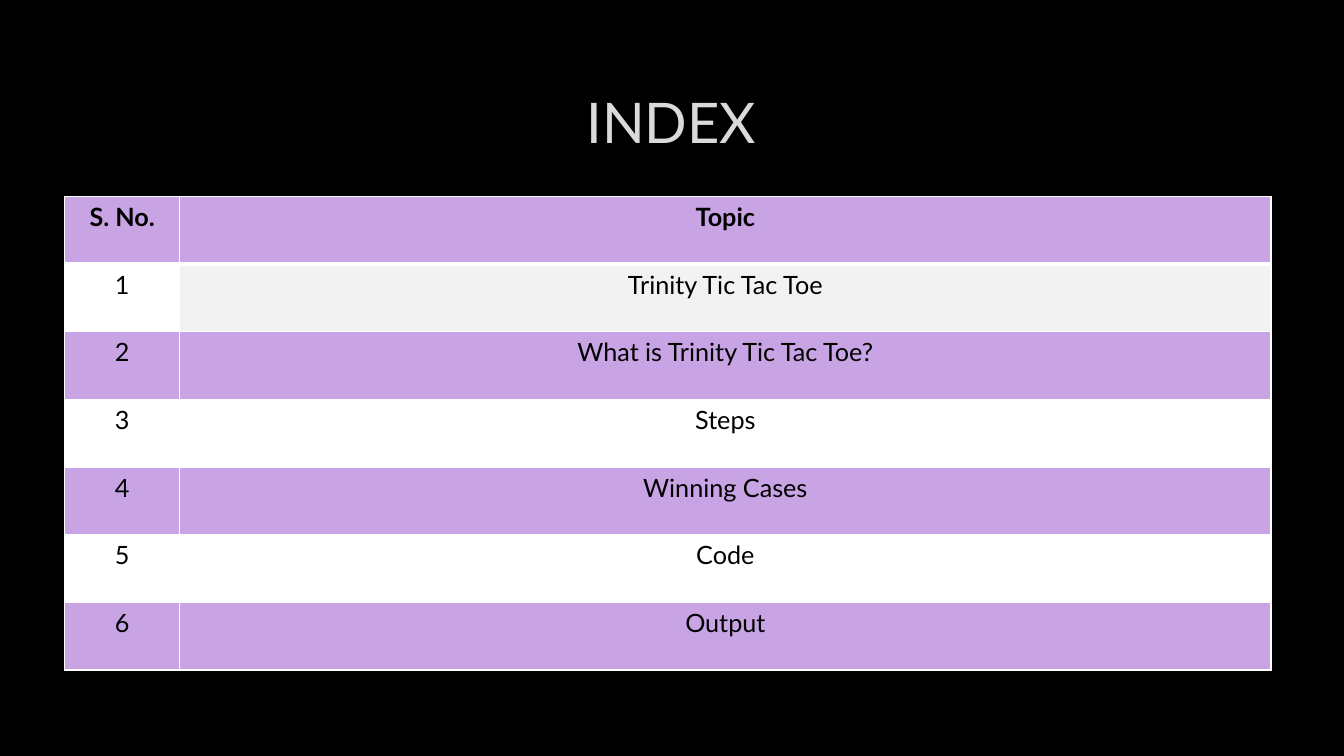
from dataclasses import dataclass

from lxml.etree import SubElement
from pptx import Presentation
from pptx.dml.color import RGBColor
from pptx.enum.text import MSO_ANCHOR, PP_ALIGN
from pptx.oxml.ns import qn
from pptx.slide import Slide
from pptx.table import _Cell
from pptx.text.text import _Paragraph
from pptx.util import Cm, Length, Pt


@dataclass(frozen=True)
class Theme:
    font: str = "Lato"
    background: str = "000000"
    title: str = "DADADA"
    title_outline: str = "404040"
    text: str = "000000"
    accent: str = "C9A4E4"
    plain: str = "FFFFFF"
    highlight: str = "F2F2F2"
    border: str = "FFFFFF"
    title_size: Length = Pt(40)
    text_size: Length = Pt(18)
    border_width: Length = Pt(1)
    header_rule_width: Length = Pt(3)
    outline_width: Length = Pt(0.75)


@dataclass(frozen=True)
class IndexRow:
    number: str
    topic: str
    fill: str
    topic_fill: str
    header: bool = False


THEME = Theme()
TOPICS = (
    "Trinity Tic Tac Toe",
    "What is Trinity Tic Tac Toe?",
    "Steps",
    "Winning Cases",
    "Code",
    "Output",
)


def index_rows() -> list[IndexRow]:
    rows = [IndexRow("S. No.", "Topic", THEME.accent, THEME.accent, True)]
    for number, topic in enumerate(TOPICS, start=1):
        fill = THEME.plain if number % 2 else THEME.accent
        topic_fill = THEME.highlight if number == 1 else fill
        rows.append(IndexRow(str(number), topic, fill, topic_fill))
    return rows


def format_paragraph(para: _Paragraph, size: Length, color: str, bold: bool = False) -> None:
    para.alignment = PP_ALIGN.CENTER
    para.font.name = THEME.font
    para.font.size = size
    para.font.bold = bold
    para.font.color.rgb = RGBColor.from_string(color)


def set_borders(cell: _Cell, top: Length, bottom: Length) -> None:
    properties = cell._tc.get_or_add_tcPr()
    widths = {"lnL": THEME.border_width, "lnR": THEME.border_width, "lnT": top, "lnB": bottom}
    for position, (side, width) in enumerate(widths.items()):
        line = SubElement(properties, qn(f"a:{side}"), w=str(width))
        fill = SubElement(line, qn("a:solidFill"))
        SubElement(fill, qn("a:srgbClr"), val=THEME.border)
        properties.insert(position, line)


def fill_cell(cell: _Cell, text: str, fill: str, header: bool, below_header: bool) -> None:
    cell.text = text
    format_paragraph(cell.text_frame.paragraphs[0], THEME.text_size, THEME.text, header)
    cell.fill.solid()
    cell.fill.fore_color.rgb = RGBColor.from_string(fill)
    top = THEME.header_rule_width if below_header else THEME.border_width
    bottom = THEME.header_rule_width if header else THEME.border_width
    set_borders(cell, top, bottom)


def add_title(page: Slide, text: str) -> None:
    title = page.shapes.title
    title.left, title.top, title.width, title.height = Cm(2.54), Cm(1.7), Cm(28.75), Cm(2.7)
    title.text_frame.text = text
    title.text_frame.vertical_anchor = MSO_ANCHOR.MIDDLE
    para = title.text_frame.paragraphs[0]
    format_paragraph(para, THEME.title_size, THEME.title)
    span = para.runs[0]._r.get_or_add_rPr()
    line = SubElement(span, qn("a:ln"), w=str(THEME.outline_width))
    fill = SubElement(line, qn("a:solidFill"))
    color = SubElement(fill, qn("a:srgbClr"), val=THEME.title_outline)
    SubElement(color, qn("a:alpha"), val="10000")


def add_index(page: Slide, rows: list[IndexRow]) -> None:
    widths = (Cm(2.9), Cm(27.5))
    frame = page.shapes.add_table(
        len(rows), len(widths), Cm(1.63), Cm(4.95), sum(widths), Cm(11.94)
    )
    table = frame.table
    for column, width in zip(table.columns, widths):
        column.width = width
    for position, row in enumerate(rows):
        for column, (text, fill) in enumerate(((row.number, row.fill), (row.topic, row.topic_fill))):
            fill_cell(table.cell(position, column), text, fill, row.header, position == 1)


def main() -> None:
    deck = Presentation()
    deck.slide_width, deck.slide_height = Cm(33.87), Cm(19.05)
    page = deck.slides.add_slide(deck.slide_layouts.get_by_name("Title Only"))
    page.background.fill.solid()
    page.background.fill.fore_color.rgb = RGBColor.from_string(THEME.background)
    add_index(page, index_rows())
    add_title(page, "INDEX")
    deck.save("out.pptx")


if __name__ == "__main__":
    main()
